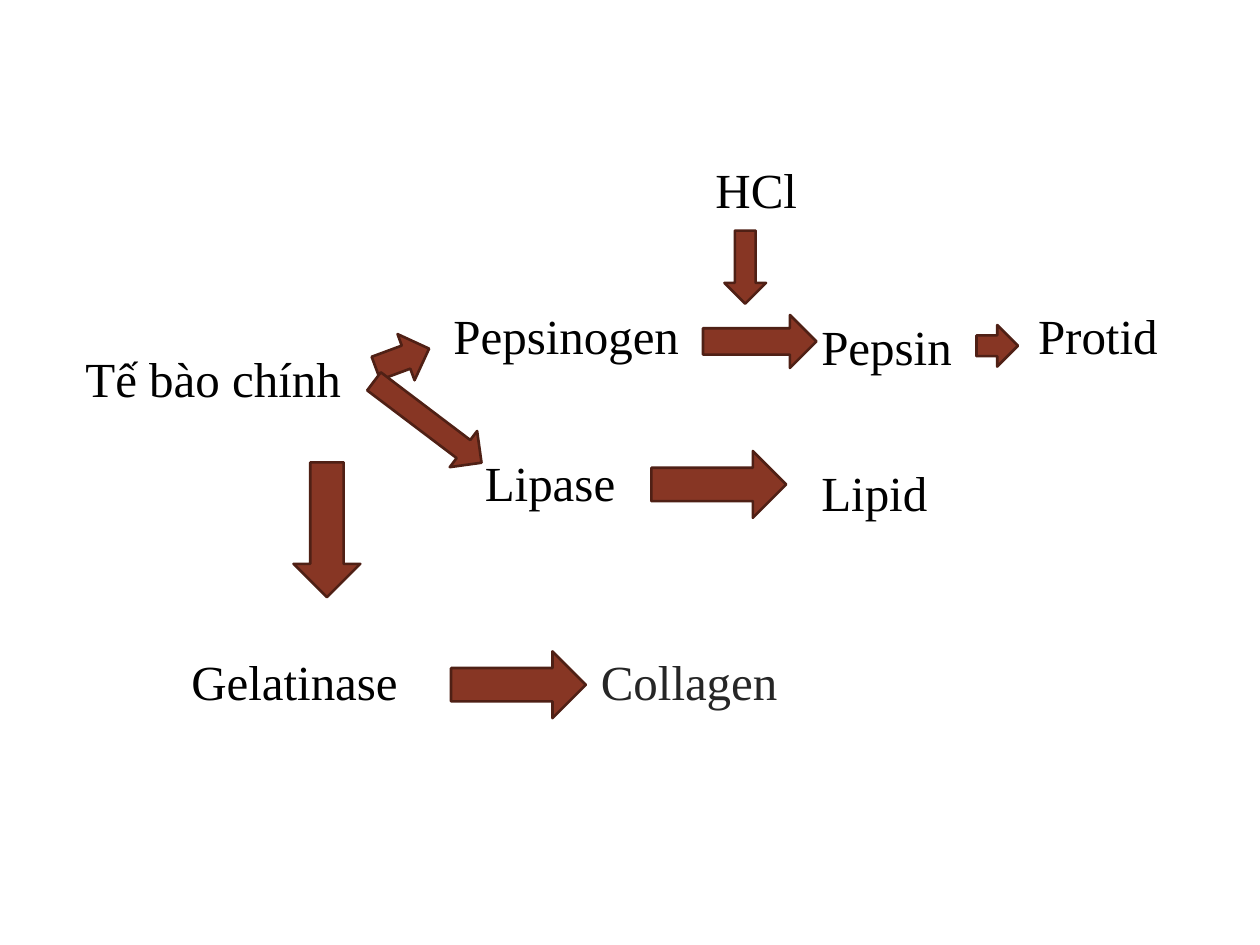
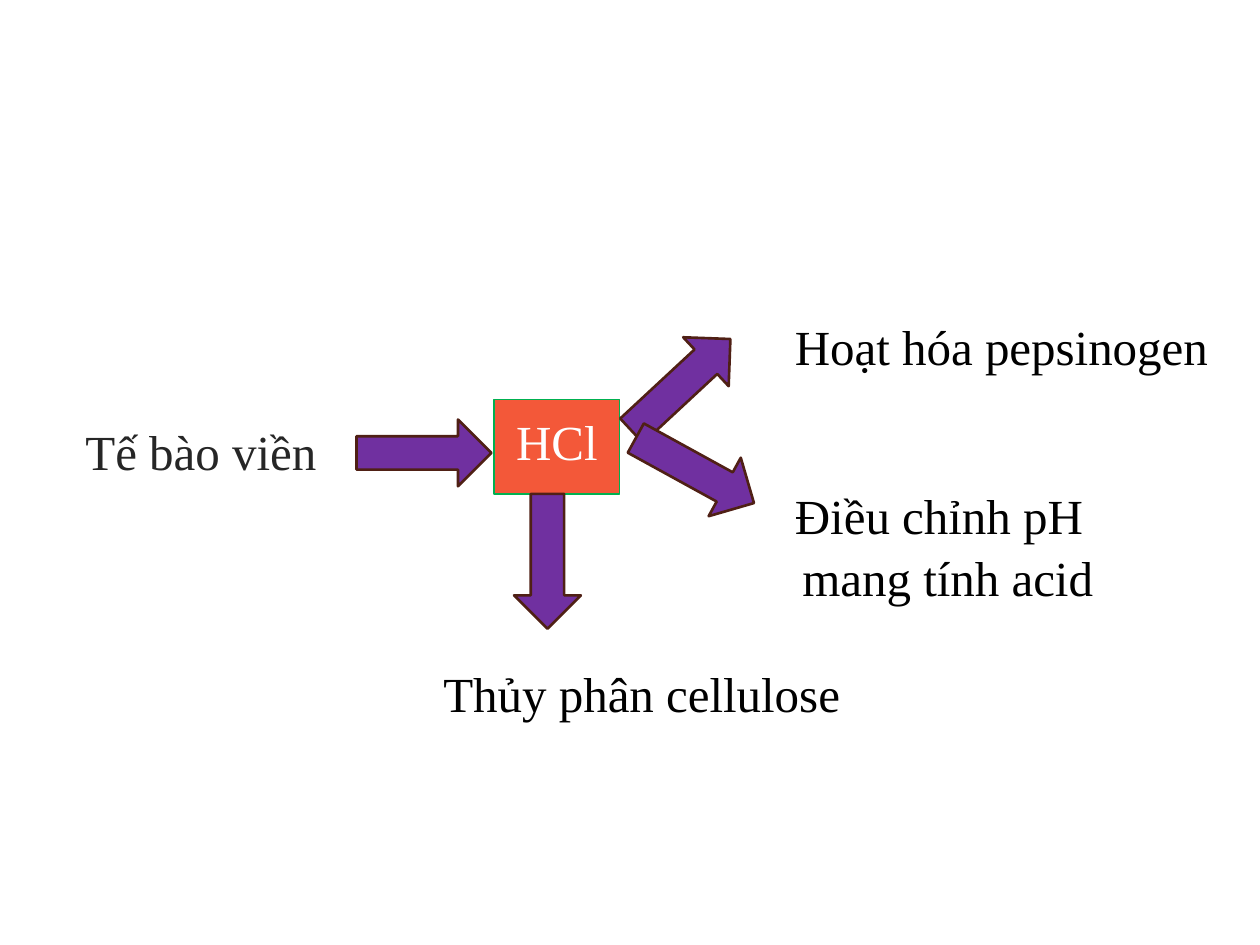
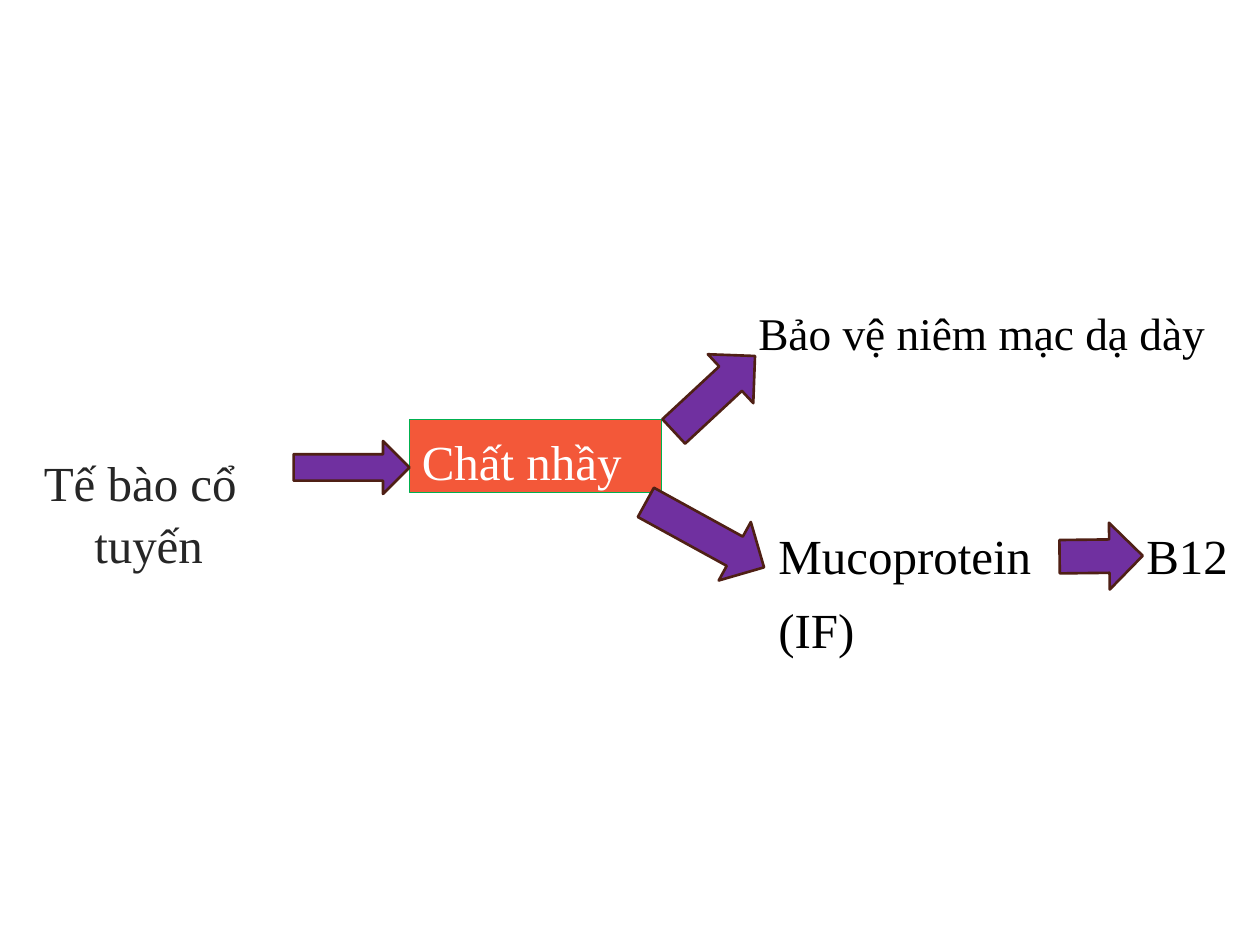
"""Build three flow slides on the cells of the gastric glands."""
from dataclasses import dataclass

from pptx import Presentation
from pptx import util as u
from pptx.dml.color import RGBColor
from pptx.enum import shapes, text

RIGHT = shapes.MSO_SHAPE.RIGHT_ARROW
DOWN = shapes.MSO_SHAPE.DOWN_ARROW
BOX = shapes.MSO_SHAPE.RECTANGLE


@dataclass(frozen=True)
class Theme:
    font: str = "Times New Roman"
    size: float = 28
    small: float = 25.9
    gap: float = 7
    lead: float = 1.05
    hang: float = 0.35
    deep: float = 0.4
    black: str = "000000"
    grey: str = "262626"
    white: str = "FFFFFF"
    brown: str = "873624"
    violet: str = "7030A0"
    edge: str = "4F2015"
    orange: str = "F35839"
    green: str = "00B050"


class Deck:
    def __init__(self, theme):
        self.theme = theme
        self.prs = Presentation()
        self.prs.slide_width = u.Inches(10)
        self.prs.slide_height = u.Inches(7.5)
        self.slide = None
        self.tint = theme.brown

    def page(self, tint):
        self.slide = self.prs.slides.add_slide(self.prs.slide_layouts[6])
        self.tint = tint

    def letter(self, shape, words, color, size=None, first=0, hang=None, align=None):
        theme = self.theme
        hang = hang or theme.hang
        frame = shape.text_frame
        frame.word_wrap = True
        frame.vertical_anchor = text.MSO_ANCHOR.TOP
        frame.margin_top = u.Inches(0.07)
        frame.text = words
        for i, para in enumerate(frame.paragraphs):
            props = para._p.get_or_add_pPr()
            props.set("marL", str(u.Inches(hang)))
            props.set("indent", str(u.Inches(first - hang)))
            para.alignment = align or text.PP_ALIGN.LEFT
            para.line_spacing = theme.lead
            if i:
                para.space_before = u.Pt(theme.gap)
            for run in para.runs:
                run.font.name = theme.font
                run.font.size = u.Pt(size or theme.size)
                run.font.color.rgb = RGBColor.from_string(color)

    def label(self, words, x, y, w, h=0.75, size=None, first=0):
        area = self.slide.shapes.add_textbox(*map(u.Inches, (x, y, w, h)))
        self.letter(area, words, self.theme.black, size, first)

    def body(self, words, x, y, w, h=0.75):
        area = self.slide.shapes.add_textbox(*map(u.Inches, (x, y, w, h)))
        self.letter(area, words, self.theme.grey, hang=self.theme.deep)

    def solid(self, kind, x, y, w, h, fill, edge, width):
        shape = self.slide.shapes.add_shape(kind, *map(u.Inches, (x, y, w, h)))
        shape.shadow.inherit = False
        shape.fill.solid()
        shape.fill.fore_color.rgb = RGBColor.from_string(fill)
        shape.line.color.rgb = RGBColor.from_string(edge)
        shape.line.width = u.Pt(width)
        return shape

    def arrow(self, x, y, w=1.07, h=0.53, turn=0, kind=RIGHT):
        shape = self.solid(kind, x, y, w, h, self.tint, self.theme.edge, 1.5)
        shape.rotation = turn

    def block(self, words, x, y, w, h, align=None):
        theme = self.theme
        shape = self.solid(BOX, x, y, w, h, theme.orange, theme.green, 0.75)
        self.letter(shape, words, theme.white, align=align)


def chief(deck):
    deck.page(deck.theme.brown)
    deck.body("Collagen", 4.67, 5.08, 1.92)
    deck.label("Lipase", 3.75, 3.5, 1.5)
    deck.label("Pepsinogen", 3.5, 2.33, 2.08)
    deck.label("Protid", 7.75, 2.33, 1.83, first=0.39)
    deck.label("Pepsin", 6.42, 2.42, 1.83)
    deck.label("HCl", 5.58, 1.17, 2.33)
    deck.label("Tế bào chính", 0.58, 2.67, 2.58)
    deck.label("Lipid", 6.42, 3.58, 1.42)
    deck.label("Gelatinase", 1.42, 5.08, 1.92)
    deck.arrow(2.97, 2.65, 0.45, 0.39, 339.7)
    deck.arrow(2.86, 3.17, h=0.36, turn=37.1)
    deck.arrow(5.75, 1.83, 0.33, 0.58, kind=DOWN)
    deck.arrow(5.58, 2.5, 0.9, 0.42)
    deck.arrow(7.75, 2.58, 0.33, 0.33)
    deck.arrow(5.17, 3.58)
    deck.arrow(2.33, 3.67, 0.53, 1.07, kind=DOWN)
    deck.arrow(3.58, 5.17)


def border(deck):
    deck.page(deck.theme.violet)
    deck.body("Tế bào viền", 0.58, 3.25, 2.16)
    deck.label("Điều chỉnh pH mang tính acid", 5.92, 3.76, 3.08, 1.22, first=0.29)
    deck.block("HCl", 3.92, 3.17, 1, 0.75, text.PP_ALIGN.CENTER)
    deck.label("Hoạt hóa pepsinogen", 5.92, 2.42, 3.83, first=0.29)
    deck.label("Thủy phân cellulose", 3.42, 5.17, 3.75)
    deck.arrow(2.83, 3.33)
    deck.arrow(4.87, 2.79, turn=317.1)
    deck.arrow(4.98, 3.47, turn=28.8)
    deck.arrow(3.81, 4.19, turn=90)


def neck(deck):
    deck.page(deck.theme.violet)
    deck.body("Tế bào cổ tuyến", 0.25, 3.5, 1.9)
    deck.label("Mucoprotein\n(IF)", 6.08, 4.08, 2.5)
    deck.block("Chất nhầy", 3.25, 3.33, 2, 0.58)
    deck.label("Bảo vệ niêm mạc dạ dày", 5.92, 2.33, 3.83, 0.92, deck.theme.small)
    deck.label("B12", 9, 4.08, 1)
    deck.arrow(2.33, 3.5, 0.92, 0.42)
    deck.arrow(5.23, 2.86, 0.88, turn=317.1)
    deck.arrow(5.06, 3.98, turn=28.8)
    deck.arrow(8.41, 4.15, 0.66, turn=359.3)


def main():
    deck = Deck(Theme())
    for build in (chief, border, neck):
        build(deck)
    deck.prs.save("out.pptx")


if __name__ == "__main__":
    main()
